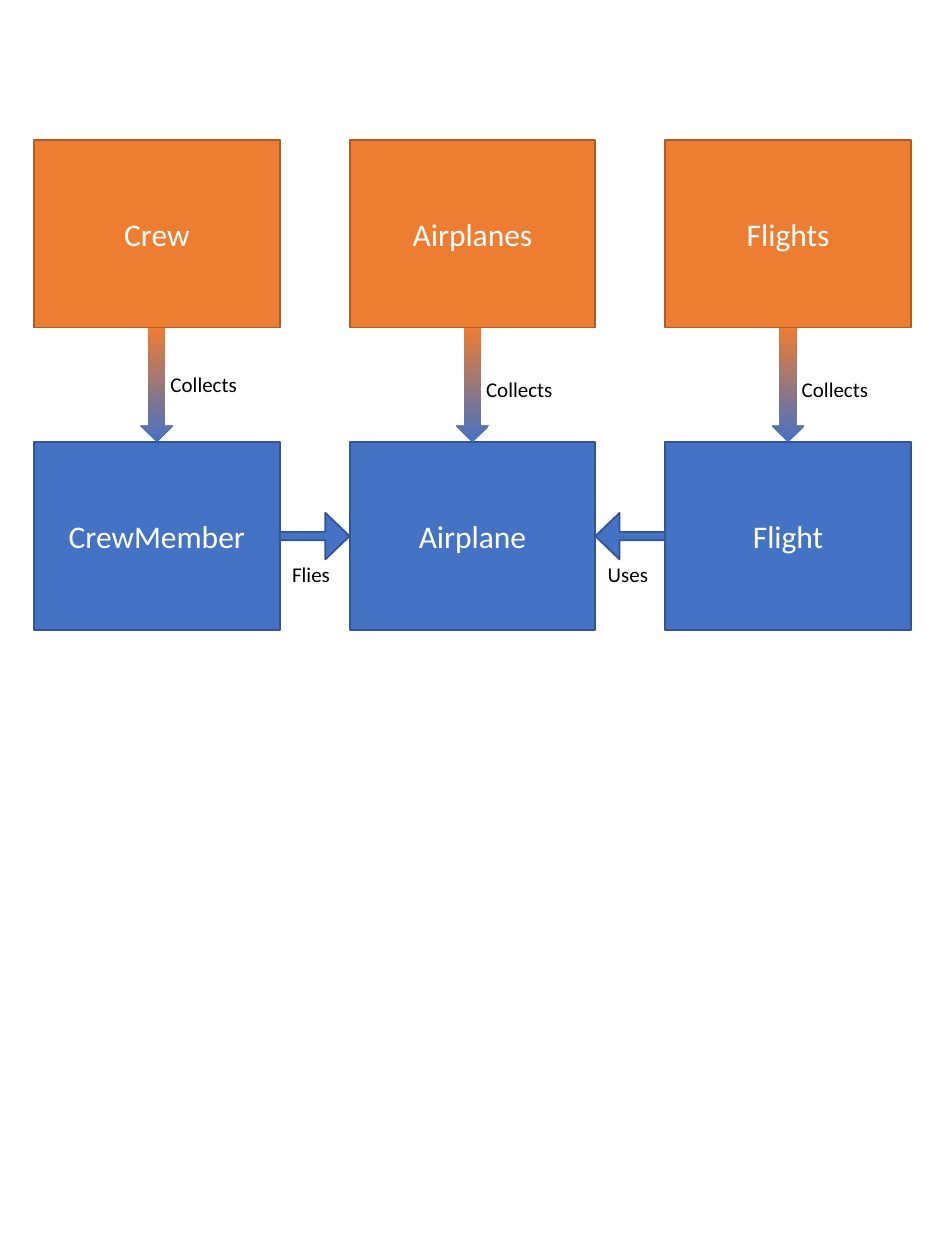
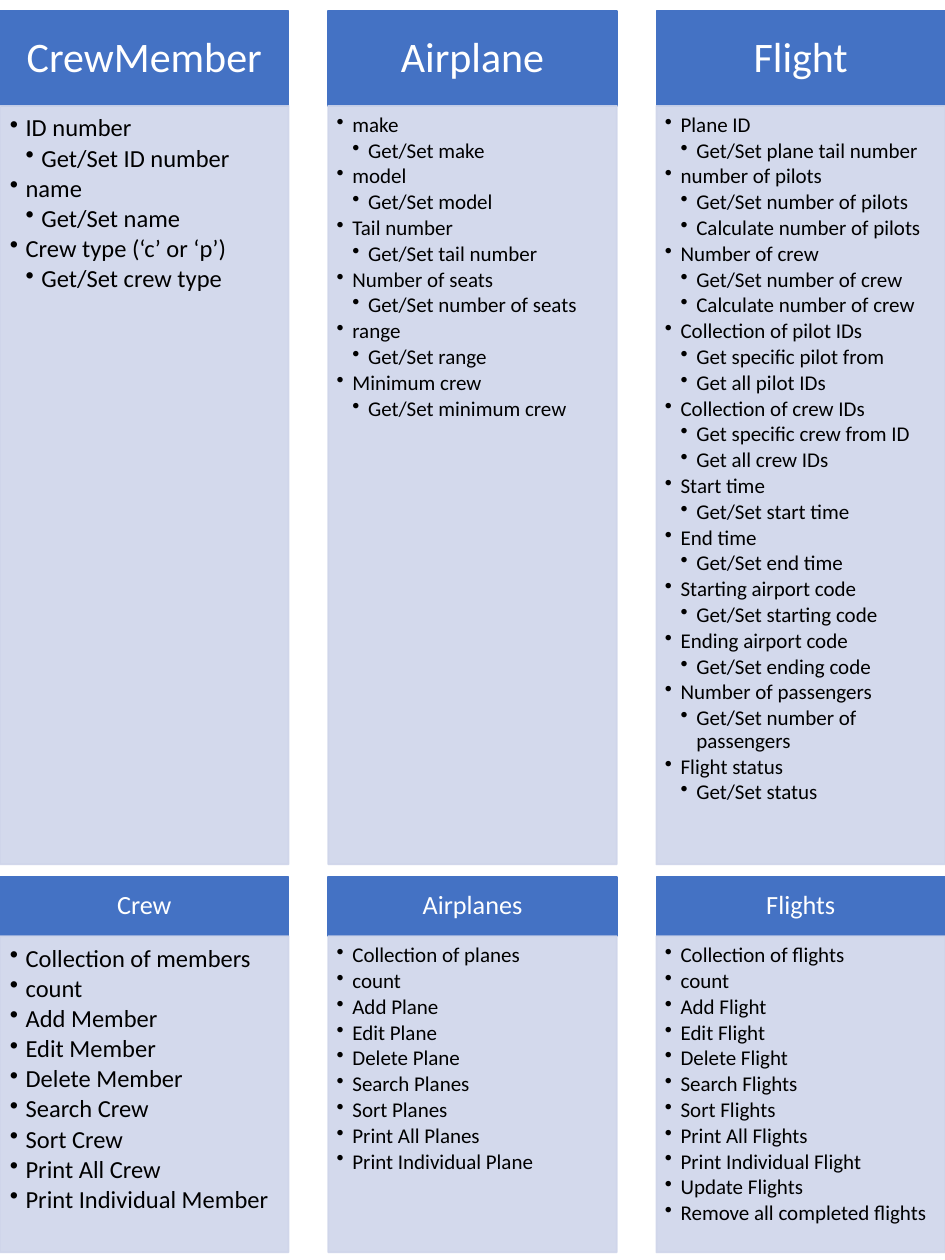
from dataclasses import dataclass
from typing import NamedTuple

from lxml.etree import SubElement
from pptx import Presentation
from pptx.dml.color import RGBColor
from pptx.enum.shapes import MSO_SHAPE as Preset
from pptx.enum.text import MSO_ANCHOR as Anchor
from pptx.enum.text import MSO_AUTO_SIZE as AutoSize
from pptx.enum.text import PP_ALIGN as Align
from pptx.oxml.ns import qn
from pptx.util import Inches, Pt


@dataclass(frozen=True)
class Theme:
    font: str = "Calibri"
    white: str = "FFFFFF"
    black: str = "000000"
    orange: str = "ED7D31"
    orange_edge: str = "AF5C24"
    blue: str = "4472C4"
    blue_edge: str = "325491"
    pale_blue: str = "CFD5EA"
    panel_opacity: int = 90
    class_size: int = 18
    relation_size: int = 12
    outline: int = 1
    line_spacing: float = 0.9


THEME = Theme()


class Box(NamedTuple):
    left: float
    top: float
    width: float
    height: float

    def emu(self) -> tuple:
        return tuple(Inches(length) for length in self)


class Grid(NamedTuple):
    """Equal columns from a left edge, and the gap between them."""
    left: float
    column: float
    gap: float

    def cell(self, index: int, top: float, height: float) -> Box:
        return Box(self.left + index * (self.column + self.gap), top, self.column, height)

    def between(self, index: int, top: float, height: float) -> Box:
        column = self.cell(index, top, height)
        return Box(column.left + self.column, top, self.gap, height)


class Entity(NamedTuple):
    collection: str
    member: str


class Relation(NamedTuple):
    caption: str
    gap_index: int
    rotation: int


class Panel(NamedTuple):
    title: str
    size: int
    # Each item is followed by its indented operations
    items: tuple


class Band(NamedTuple):
    """A row of panels: title strip on top of a list."""
    top: float
    title_height: float
    list_height: float
    title_size: int
    panels: tuple


# Slide 1 content
CLASS_GRID = Grid(left=0.27, column=1.95, gap=0.555)
COLLECTION_TOP, MEMBER_TOP, CLASS_HEIGHT = 1.11, 3.51, 1.49
ENTITIES = (
    Entity("Crew", "CrewMember"),
    Entity("Airplanes", "Airplane"),
    Entity("Flights", "Flight"),
)
RELATIONS = (Relation("Flies", 0, 0), Relation("Uses", 1, 180))

# Slide 2 content
PANEL_GRID = Grid(left=0, column=2.29, gap=0.315)
CLASS_BAND = Band(0.09, 0.75, 6.02, 24, (
    Panel("CrewMember", 14, (
        ("ID number", "Get/Set ID number"),
        ("name", "Get/Set name"),
        ("Crew type (‘c’ or ‘p’)", "Get/Set crew type"),
    )),
    Panel("Airplane", 12, (
        ("make", "Get/Set make"),
        ("model", "Get/Set model"),
        ("Tail number", "Get/Set tail number"),
        ("Number of seats", "Get/Set number of seats"),
        ("range", "Get/Set range"),
        ("Minimum crew", "Get/Set minimum crew"),
    )),
    Panel("Flight", 12, (
        ("Plane ID", "Get/Set plane tail number"),
        ("number of pilots", "Get/Set number of pilots", "Calculate number of pilots"),
        ("Number of crew", "Get/Set number of crew", "Calculate number of crew"),
        ("Collection of pilot IDs", "Get specific pilot from", "Get all pilot IDs"),
        ("Collection of crew IDs", "Get specific crew from ID", "Get all crew IDs"),
        ("Start time", "Get/Set start time"),
        ("End time", "Get/Set end time"),
        ("Starting airport code", "Get/Set starting code"),
        ("Ending airport code", "Get/Set ending code"),
        ("Number of passengers", "Get/Set number of passengers"),
        ("Flight status", "Get/Set status"),
    )),
))
COLLECTION_BAND = Band(6.96, 0.47, 2.51, 15, (
    Panel("Crew", 14, (
        ("Collection of members",), ("count",), ("Add Member",), ("Edit Member",),
        ("Delete Member",), ("Search Crew",), ("Sort Crew",), ("Print All Crew",),
        ("Print Individual Member",),
    )),
    Panel("Airplanes", 12, (
        ("Collection of planes",), ("count",), ("Add Plane",), ("Edit Plane",),
        ("Delete Plane",), ("Search Planes",), ("Sort Planes",), ("Print All Planes",),
        ("Print Individual Plane",),
    )),
    Panel("Flights", 12, (
        ("Collection of flights",), ("count",), ("Add Flight",), ("Edit Flight",),
        ("Delete Flight",), ("Search Flights",), ("Sort Flights",), ("Print All Flights",),
        ("Print Individual Flight",), ("Update Flights",), ("Remove all completed flights",),
    )),
))


# Shared drawing
def rgb(colour: str) -> RGBColor:
    return RGBColor.from_string(colour)


def draw_shape(slide, preset, box: Box, fill: str, edge: str):
    shape = slide.shapes.add_shape(preset, *box.emu())
    shape.shadow.inherit = False
    shape.fill.solid()
    shape.fill.fore_color.rgb = rgb(fill)
    shape.line.color.rgb = rgb(edge)
    shape.line.width = Pt(THEME.outline)
    return shape


def style_text(paragraph, size: int, colour: str, align=Align.LEFT) -> None:
    paragraph.alignment = align
    for run in paragraph.runs:
        run.font.name = THEME.font
        run.font.size = Pt(size)
        run.font.color.rgb = rgb(colour)


def write_centred(shape, text: str, size: int) -> None:
    frame = shape.text_frame
    frame.word_wrap = True
    frame.vertical_anchor = Anchor.MIDDLE
    frame.text = text
    style_text(frame.paragraphs[0], size, THEME.white, Align.CENTER)


def set_insets(frame, size: int, left: float, top: float, right: float, bottom: float) -> None:
    """Insets are shares of the type size."""
    frame.margin_left, frame.margin_top = Pt(left * size), Pt(top * size)
    frame.margin_right, frame.margin_bottom = Pt(right * size), Pt(bottom * size)


# Slide 1: how the classes relate
def draw_class(slide, name: str, box: Box, fill: str, edge: str) -> None:
    write_centred(draw_shape(slide, Preset.RECTANGLE, box, fill, edge), name, THEME.class_size)


def draw_caption(slide, text: str, box: Box) -> None:
    caption = slide.shapes.add_textbox(*box.emu())
    frame = caption.text_frame
    frame.word_wrap = True
    frame.auto_size = AutoSize.SHAPE_TO_FIT_TEXT
    frame.text = text
    style_text(frame.paragraphs[0], THEME.relation_size, THEME.black)


def draw_collects(slide, column: int) -> None:
    top = COLLECTION_TOP + CLASS_HEIGHT
    cell = CLASS_GRID.cell(column, top, MEMBER_TOP - top)
    centre = cell.left + cell.width / 2
    arrow = draw_shape(slide, Preset.DOWN_ARROW, Box(centre - 0.13, top, 0.26, cell.height),
                       THEME.blue, THEME.blue)
    arrow.line.fill.background()
    arrow.fill.gradient()
    arrow.fill.gradient_angle = 90
    for stop, colour in zip(arrow.fill.gradient_stops, (THEME.blue, THEME.orange)):
        stop.color.rgb = rgb(colour)
    caption_top = 2.9 if column == 0 else 2.94
    draw_caption(slide, "Collects", Box(centre + 0.01, caption_top, 1.2, 0.3))


def draw_relation(slide, relation: Relation) -> None:
    arrow = draw_shape(slide, Preset.RIGHT_ARROW,
                       CLASS_GRID.between(relation.gap_index, 4.07, 0.37),
                       THEME.blue, THEME.blue_edge)
    arrow.adjustments[0], arrow.adjustments[1] = 0.18, 0.52
    arrow.rotation = relation.rotation
    draw_caption(slide, relation.caption, CLASS_GRID.between(relation.gap_index, 4.41, 0.3))


def build_class_diagram(slide) -> None:
    for column, entity in enumerate(ENTITIES):
        draw_class(slide, entity.collection, CLASS_GRID.cell(column, COLLECTION_TOP, CLASS_HEIGHT),
                   THEME.orange, THEME.orange_edge)
        draw_class(slide, entity.member, CLASS_GRID.cell(column, MEMBER_TOP, CLASS_HEIGHT),
                   THEME.blue, THEME.blue_edge)
        draw_collects(slide, column)
    for relation in RELATIONS:
        draw_relation(slide, relation)


# Slide 2: what each class holds
def add_bullet(paragraph, level: int) -> None:
    paragraph.level = level
    properties = paragraph._p.get_or_add_pPr()
    properties.set("marL", str(Inches(0.125 * level)))
    properties.set("indent", str(-Inches(0.125)))
    SubElement(properties, qn("a:buChar")).set("char", "•")


def draw_title(slide, title: str, size: int, box: Box) -> None:
    strip = draw_shape(slide, Preset.RECTANGLE, box, THEME.blue, THEME.blue)
    write_centred(strip, title, size)
    strip.text_frame.paragraphs[0].line_spacing = THEME.line_spacing
    set_insets(strip.text_frame, size, 0.57, 0.33, 0.57, 0.33)


def draw_list(slide, panel: Panel, box: Box) -> None:
    body = draw_shape(slide, Preset.RECTANGLE, box, THEME.pale_blue, THEME.pale_blue)
    for colour in body._element.spPr.iter(qn("a:srgbClr")):
        SubElement(colour, qn("a:alpha")).set("val", str(THEME.panel_opacity * 1000))
    frame = body.text_frame
    frame.word_wrap = True
    frame.vertical_anchor = Anchor.TOP
    set_insets(frame, panel.size, 0.4, 0.4, 0.53, 0.6)
    levels = [1 if place == 0 else 2 for item in panel.items for place in range(len(item))]
    frame.text = "\n".join(line for item in panel.items for line in item)
    for paragraph, level in zip(frame.paragraphs, levels):
        style_text(paragraph, panel.size, THEME.black)
        paragraph.line_spacing = THEME.line_spacing
        paragraph.space_after = Pt(0.15 * panel.size)
        add_bullet(paragraph, level)


def draw_band(slide, band: Band) -> None:
    for column, panel in enumerate(band.panels):
        draw_title(slide, panel.title, band.title_size,
                   PANEL_GRID.cell(column, band.top, band.title_height))
        draw_list(slide, panel, PANEL_GRID.cell(column, band.top + band.title_height,
                                                band.list_height))


def main() -> None:
    deck = Presentation()
    deck.slide_width, deck.slide_height = Inches(7.5), Inches(10)
    blank = deck.slide_layouts[6]
    build_class_diagram(deck.slides.add_slide(blank))
    class_details = deck.slides.add_slide(blank)
    for band in (CLASS_BAND, COLLECTION_BAND):
        draw_band(class_details, band)
    deck.save("out.pptx")


if __name__ == "__main__":
    main()
